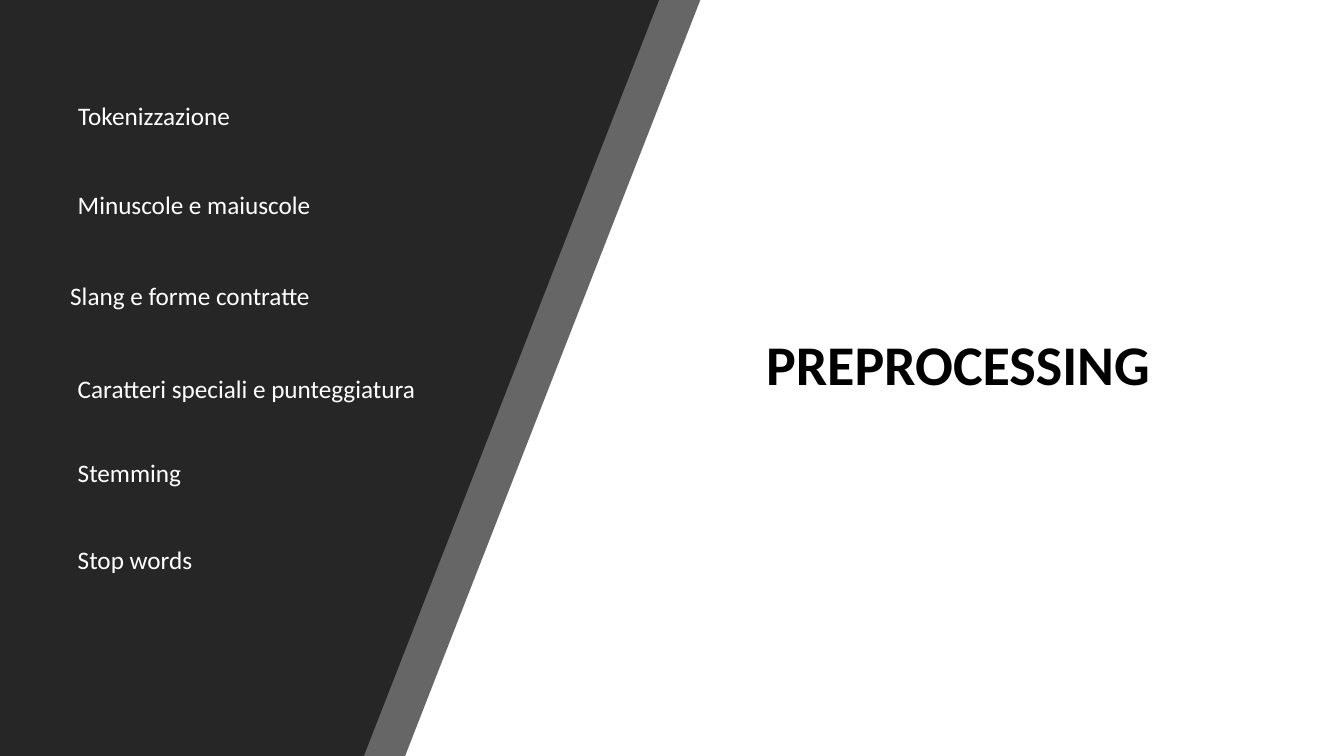
from lxml.etree import SubElement
from pptx import Presentation
from pptx.dml.color import RGBColor as Rgb
from pptx.enum.shapes import MSO_SHAPE as Shape
from pptx.enum.text import MSO_ANCHOR as Anchor, MSO_AUTO_SIZE as Fit, PP_ALIGN as Align
from pptx.oxml.ns import qn
from pptx.util import Cm, Pt

WIDE, HIGH = 33.87, 19.05
COLORS = {"black": "000000", "white": "FFFFFF", "dark": "262626"}
FONT = "Calibri"

# text, left, top, width, height in cm
STEPS = [
    ("Tokenizzazione", 1.72, 2.41, 4.9, 1.02),
    ("Minuscole e maiuscole", 1.71, 4.65, 7.32, 1.02),
    ("Slang e forme contratte", 1.52, 6.95, 7.52, 1.02),
    ("Caratteri speciali e punteggiatura", 1.71, 9.28, 9.91, 1.8),
    ("Stemming", 1.71, 11.39, 3.51, 1.02),
    ("Stop words", 1.71, 13.6, 3.99, 1.02),
]


class Deck:
    def __init__(self):
        self.prs = Presentation()
        self.prs.slide_width, self.prs.slide_height = Cm(WIDE), Cm(HIGH)
        self.slide = self.prs.slides.add_slide(self.prs.slide_layouts[5])
        self.shapes = self.slide.shapes

    def color(self, name):
        return Rgb.from_string(COLORS[name])

    def paint(self, fill, name):
        fill.solid()
        fill.fore_color.rgb = self.color(name)

    def finish(self, shape, name):
        self.paint(shape.fill, name)
        shape.line.fill.background()
        shape.shadow.inherit = False

    def backdrop(self):
        self.paint(self.slide.background.fill, "black")
        sheet = self.shapes.add_shape(Shape.RECTANGLE, 0, 0, Cm(WIDE), Cm(HIGH))
        self.finish(sheet, "white")

    def panel(self, top, base, alpha=None):
        """Draw a slanted panel, given its widths at top and base; alpha is in percent."""
        pen = self.shapes.build_freeform(Cm(top), 0)
        pen.add_line_segments([(0, 0), (0, Cm(HIGH)), (Cm(base), Cm(HIGH))])
        panel = pen.convert_to_shape()
        self.finish(panel, "dark")
        if alpha:
            tone = next(panel._element.iter(qn("a:srgbClr")))
            SubElement(tone, qn("a:alpha"), val=str(alpha * 1000))

    def label(self, shape, text, size, color, bold=False):
        """Fill the shape with one styled paragraph and return its text frame."""
        frame = shape.text_frame
        frame.word_wrap = True
        frame.auto_size = Fit.NONE
        frame.text = text
        para = frame.paragraphs[0]
        para.space_after = Pt(6)
        font = para.font
        font.name, font.size, font.bold = FONT, Pt(size), bold
        font.color.rgb = self.color(color)
        return frame

    def title(self, text, *box):
        title = self.shapes.title
        title.left, title.top, title.width, title.height = map(Cm, box)
        frame = self.label(title, text, 40, "black", True)
        frame.vertical_anchor = Anchor.MIDDLE
        frame.paragraphs[0].alignment = Align.CENTER
        frame.paragraphs[0].line_spacing = 0.9
        # Bring the title in front of the backdrop
        self.shapes._spTree.append(title._element)

    def step(self, text, *box):
        self.label(self.shapes.add_textbox(*map(Cm, box)), text, 18, "white")


def main():
    deck = Deck()
    deck.backdrop()
    deck.panel(17.65, 10.21, alpha=70)
    deck.panel(16.61, 9.17)
    deck.title("PREPROCESSING", 16.76, 1.96, 14.76, 14.58)
    for step in STEPS:
        deck.step(*step)
    deck.prs.save("out.pptx")


if __name__ == "__main__":
    main()
